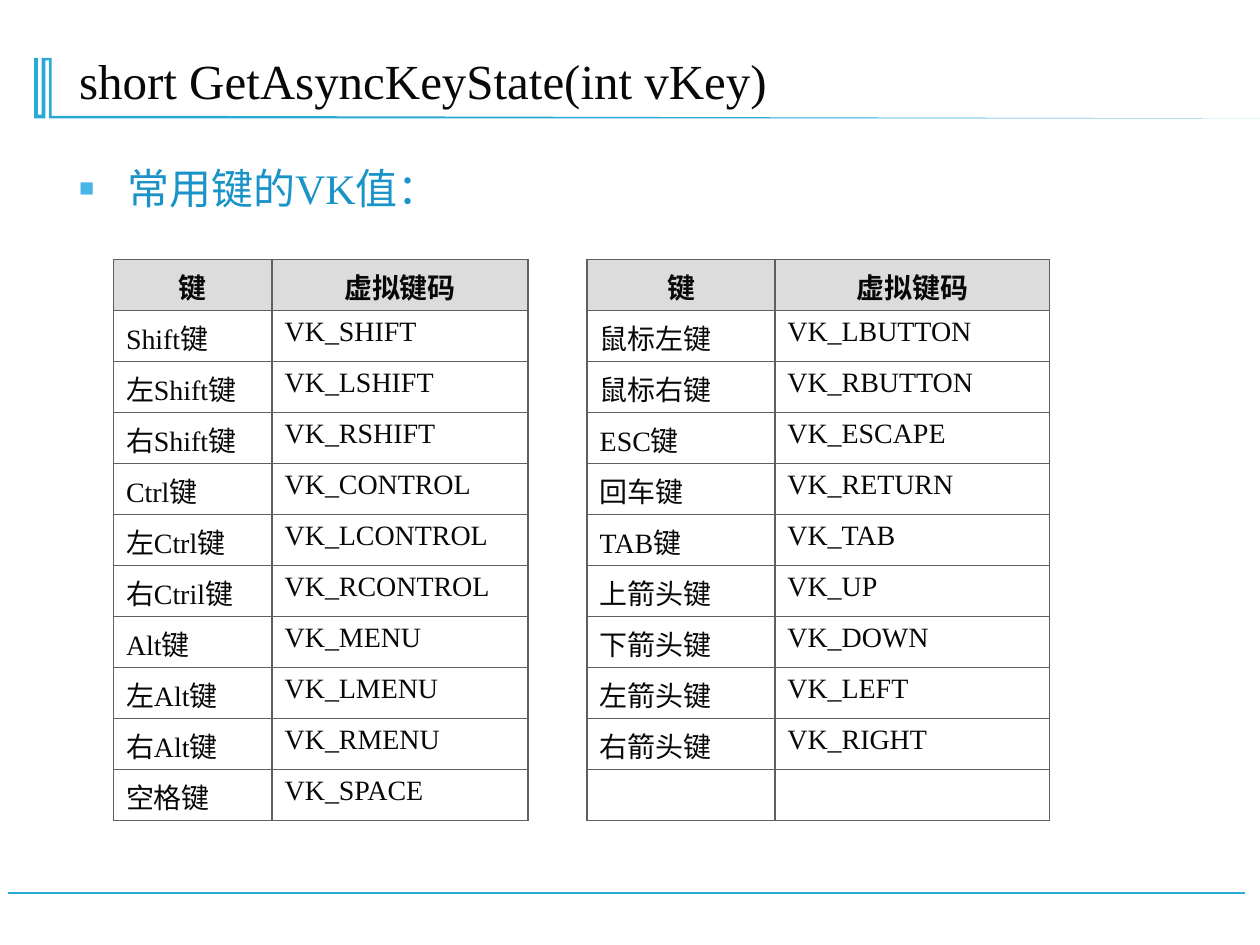
from lxml import etree
from pptx import Presentation
from pptx.dml.color import RGBColor
from pptx.enum.shapes import MSO_CONNECTOR
from pptx.enum.text import MSO_ANCHOR, PP_ALIGN
from pptx.oxml.ns import qn
from pptx.util import Inches, Pt

STRAIGHT = MSO_CONNECTOR.STRAIGHT
TOP, BOTTOM = MSO_ANCHOR.TOP, MSO_ANCHOR.BOTTOM
LEFT, CENTER = PP_ALIGN.LEFT, PP_ALIGN.CENTER

# Content
TITLE = "short GetAsyncKeyState(int vKey)"
SUBTITLE = "常用键的VK值："
HEADER = ("键", "虚拟键码")
KEY_TABLES = [
    {
        "left": 0.9, "columns": (1.26, 2.03), "header_fonts": ("Arial", "Arial"),
        "rows": [
            ("Shift键", "VK_SHIFT"), ("左Shift键", "VK_LSHIFT"),
            ("右Shift键", "VK_RSHIFT"), ("Ctrl键", "VK_CONTROL"),
            ("左Ctrl键", "VK_LCONTROL"), ("右Ctril键", "VK_RCONTROL"),
            ("Alt键", "VK_MENU"), ("左Alt键", "VK_LMENU"),
            ("右Alt键", "VK_RMENU"), ("空格键", "VK_SPACE"),
        ],
    },
    {
        "left": 4.66, "columns": (1.49, 2.18), "header_fonts": ("Times New Roman", "Arial"),
        "rows": [
            ("鼠标左键", "VK_LBUTTON"), ("鼠标右键", "VK_RBUTTON"),
            ("ESC键", "VK_ESCAPE"), ("回车键", "VK_RETURN"),
            ("TAB键", "VK_TAB"), ("上箭头键", "VK_UP"),
            ("下箭头键", "VK_DOWN"), ("左箭头键", "VK_LEFT"),
            ("右箭头键", "VK_RIGHT"), ("", ""),
        ],
    },
]
TABLE_TOP, ROW_HEIGHT = 2.06, 0.405
TITLE_MARK = [
    (0.41, 0.46), (0.41, 0.92), (1.4, 0.92), (10.09, 0.94), (0.39, 0.94),
    (0.39, 0.48), (0.36, 0.48), (0.36, 0.94), (0.27, 0.94), (0.27, 0.46),
    (0.3, 0.46), (0.3, 0.91), (0.33, 0.91), (0.33, 0.46),
]

THEME = {
    "font": "Times New Roman",
    "text": "080808", "accent": "28A9D6", "subtitle": "1A93C8", "bullet": "47B6E7",
    "border": "5F5F5F", "header": "DCDCDC", "body": "FFFFFF",
    "title_size": 28, "subtitle_size": 24, "cell_size": 16,
}


def color(name):
    return RGBColor.from_string(THEME[name])


def style_font(font, size, color_name, name=THEME["font"], bold=False):
    font.name, font.size, font.bold = name, Pt(THEME[size]), bold
    font.color.rgb = color(color_name)


def add_text(slide, box, text, size, color_name, anchor):
    shape = slide.shapes.add_textbox(*map(Inches, box))
    frame = shape.text_frame
    frame.word_wrap, frame.vertical_anchor = True, anchor
    paragraph = frame.paragraphs[0]
    run = paragraph.add_run()
    run.text = text
    style_font(run.font, size, color_name)
    return paragraph


def add_bullet(paragraph, character, percent, indent):
    properties = paragraph._p.get_or_add_pPr()
    properties.set("marL", str(Inches(indent)))
    properties.set("indent", str(-Inches(indent)))
    bullet_color = etree.SubElement(properties, qn("a:buClr"))
    etree.SubElement(bullet_color, qn("a:srgbClr"), val=THEME["bullet"])
    etree.SubElement(properties, qn("a:buSzPct"), val=str(percent * 1000))
    etree.SubElement(properties, qn("a:buFont"), typeface="Arial")
    etree.SubElement(properties, qn("a:buChar"), char=character)


def fill_cell(cell, text, font_name, is_header):
    # Borders must precede the fill in the cell properties
    properties = cell._tc.get_or_add_tcPr()
    for side in ("a:lnL", "a:lnR", "a:lnT", "a:lnB"):
        line = etree.SubElement(properties, qn(side), w=str(Pt(1)))
        line_fill = etree.SubElement(line, qn("a:solidFill"))
        etree.SubElement(line_fill, qn("a:srgbClr"), val=THEME["border"])
    cell.fill.solid()
    cell.fill.fore_color.rgb = color("header" if is_header else "body")
    paragraph = cell.text_frame.paragraphs[0]
    paragraph.alignment = CENTER if is_header else LEFT
    if text:
        run = paragraph.add_run()
        run.text = text
        style_font(run.font, "cell_size", "text", font_name, is_header)
    else:
        paragraph.font.size = Pt(THEME["cell_size"])


def add_key_table(slide, data):
    rows, widths = [HEADER] + data["rows"], data["columns"]
    frame = slide.shapes.add_table(
        len(rows), len(widths), Inches(data["left"]), Inches(TABLE_TOP),
        Inches(sum(widths)), Inches(ROW_HEIGHT * len(rows)))
    table = frame.table
    table.first_row = table.horz_banding = False
    for column, width in zip(table.columns, widths):
        column.width = Inches(width)
    for row_index, row in enumerate(rows):
        is_header = row_index == 0
        fonts = data["header_fonts"] if is_header else [THEME["font"]] * len(row)
        for column_index, (text, font_name) in enumerate(zip(row, fonts)):
            fill_cell(table.cell(row_index, column_index), text, font_name, is_header)


def main():
    presentation = Presentation()
    presentation.slide_width, presentation.slide_height = Inches(10), Inches(7.5)
    slide = presentation.slides.add_slide(presentation.slide_layouts[6])

    # Footer rule
    rule = slide.shapes.add_connector(
        STRAIGHT, Inches(9.88), Inches(7.09), Inches(0.06), Inches(7.09))
    rule.line.color.rgb, rule.line.width = color("accent"), Pt(1.25)
    etree.SubElement(rule._element.spPr, qn("a:effectLst"))

    # Title mark with its tapering underline
    points = [(Inches(x), Inches(y)) for x, y in TITLE_MARK]
    builder = slide.shapes.build_freeform(*points[0])
    builder.add_line_segments(points[1:], close=True)
    mark = builder.convert_to_shape()
    mark.shadow.inherit = False
    mark.fill.solid()
    mark.fill.fore_color.rgb = color("accent")
    mark.line.fill.background()

    # Title and subtitle
    title = add_text(slide, (0.53, 0.28, 8.85, 0.64), TITLE, "title_size", "text", BOTTOM)
    title.line_spacing = 0.9
    subtitle = add_text(
        slide, (0.53, 1.24, 8.85, 0.68), SUBTITLE, "subtitle_size", "subtitle", TOP)
    subtitle.space_before = Pt(6)
    add_bullet(subtitle, "■", 60, 0.38)

    # Key code tables
    for data in KEY_TABLES:
        add_key_table(slide, data)

    presentation.save("out.pptx")


if __name__ == "__main__":
    main()
